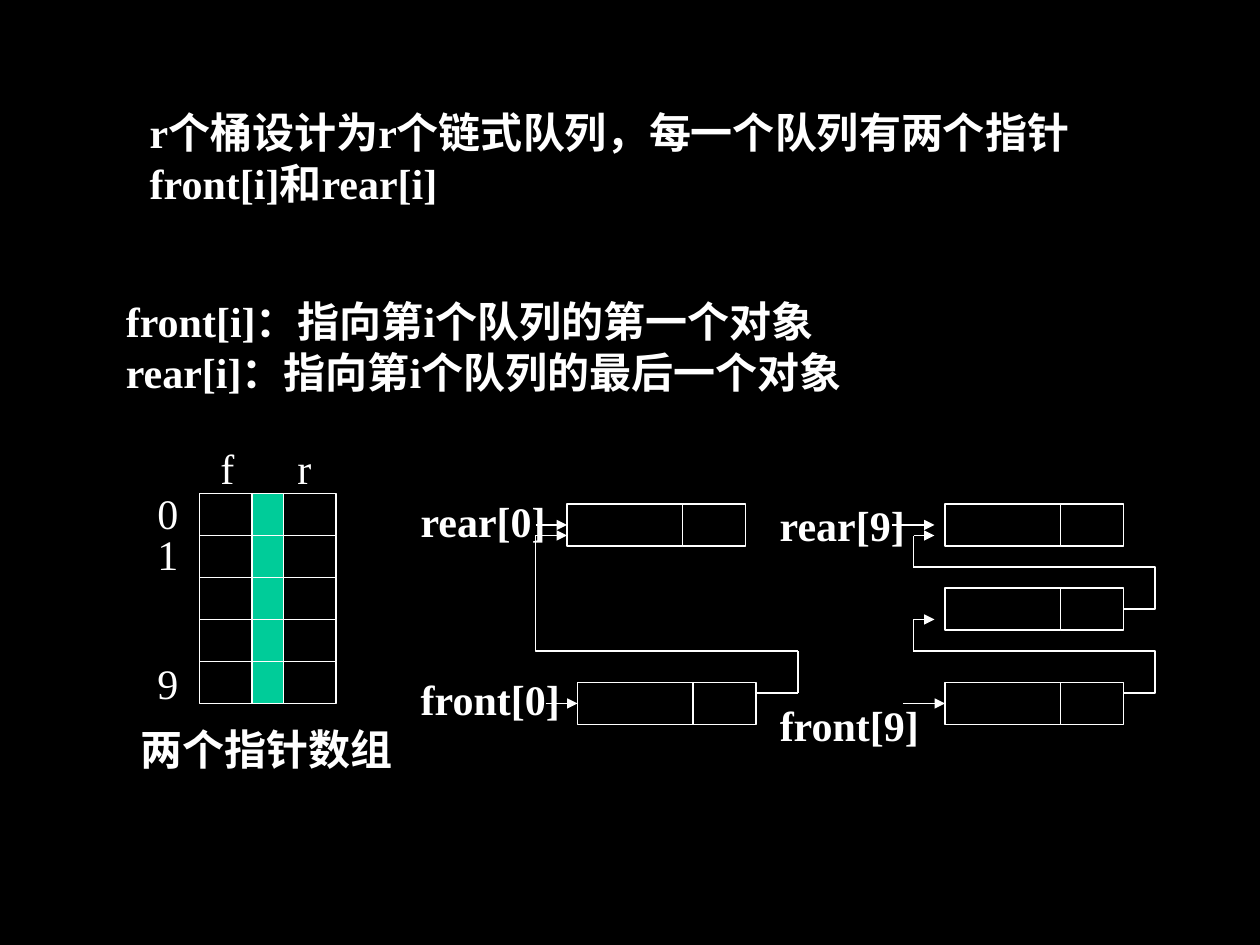
from lxml import etree
from pptx import Presentation
from pptx.dml.color import RGBColor
from pptx.enum.shapes import MSO_CONNECTOR, MSO_SHAPE
from pptx.enum.text import MSO_AUTO_SIZE
from pptx.oxml.ns import qn
from pptx.util import Pt

RECTANGLE = MSO_SHAPE.RECTANGLE
STRAIGHT = MSO_CONNECTOR.STRAIGHT
ELBOW = MSO_CONNECTOR.ELBOW
FIT_TEXT = MSO_AUTO_SIZE.SHAPE_TO_FIT_TEXT
WHITE = RGBColor.from_string("FFFFFF")
GREEN = RGBColor.from_string("00CC99")
ROW_HEIGHT = 24
LEFT_SIDE = 1

presentation = Presentation()
presentation.slide_width = Pt(720)
presentation.slide_height = Pt(540)
slide = presentation.slides.add_slide(presentation.slide_layouts[6])
slide.background.fill.solid()
slide.background.fill.fore_color.rgb = RGBColor.from_string("000000")


def add_text(left, top, width, height, lines, bold=True):
    box = slide.shapes.add_textbox(Pt(left), Pt(top), Pt(width), Pt(height))
    frame = box.text_frame
    frame.word_wrap = False
    frame.auto_size = FIT_TEXT
    frame.text = "\n".join(lines)
    for paragraph in frame.paragraphs:
        paragraph.font.name = "Times New Roman"
        paragraph.font.size = Pt(24)
        paragraph.font.bold = bold
        paragraph.font.color.rgb = WHITE
    return frame.paragraphs


def add_box(left, top, width, fill=None):
    shape = slide.shapes.add_shape(RECTANGLE, Pt(left), Pt(top), Pt(width), Pt(ROW_HEIGHT))
    shape.shadow.inherit = False
    shape.line.color.rgb = WHITE
    shape.line.width = Pt(1)
    if fill is None:
        shape.fill.background()
    else:
        shape.fill.solid()
        shape.fill.fore_color.rgb = fill
    return shape


add_text(78.5, 57.6, 556.5, 64.8, ["r个桶设计为r个链式队列，每一个队列有两个指针", "front[i]和rear[i]"])
add_text(64.8, 165.6, 440.6, 64.8, ["front[i]：指向第i个队列的第一个对象", "rear[i]：指向第i个队列的最后一个对象"])

for row in range(5):
    for left, width, fill in [(114, 30, None), (162, 30, None), (144, 18, GREEN)]:
        add_box(left, 282 + row * ROW_HEIGHT, width, fill)

header = add_text(118.8, 249.1, 66.2, 36, ["f\tr"], bold=False)[0]
tabs = etree.SubElement(header._p.get_or_add_pPr(), qn("a:tabLst"))
etree.SubElement(tabs, qn("a:tab"), pos=str(Pt(44)), algn="l")

indexes = add_text(82.8, 280.8, 25.9, 125.3, ["0", "1", "9"], bold=False)
for paragraph, spacing in zip(indexes, [0.8, 0.8, 0.7]):
    paragraph.line_spacing = spacing
indexes[2].space_before = Pt(53)

add_text(73.4, 409.7, 158.4, 36, ["两个指针数组"])

nodes = {}
for name, left, top in [
    ("front[9]", 540, 390),
    ("middle[9]", 540, 336),
    ("rear[9]", 540, 288),
    ("rear[0]", 324, 288),
    ("front[0]", 330, 390),
]:
    nodes[name] = add_box(left, top, 66)
    add_box(left + 66, top, 36)

for label, left, top, width in [
    ("rear[9]", 438.5, 282.2, 86.4),
    ("front[9]", 438.5, 396, 94.3),
    ("rear[0]", 233.3, 279.4, 86.4),
    ("front[0]", 233.3, 381.6, 94.3),
]:
    add_text(left, top, width, 36, [label])

for kind, x1, y1, x2, y2, arrow, target in [
    (STRAIGHT, 516, 402, 540, 402, "tailEnd", "front[9]"),
    (STRAIGHT, 510, 300, 534, 300, "tailEnd", None),
    (ELBOW, 642, 396, 522, 372, None, None),
    (STRAIGHT, 522, 372, 522, 354, None, None),
    (STRAIGHT, 522, 354, 534, 354, "tailEnd", None),
    (ELBOW, 642, 348, 522, 324, None, None),
    (STRAIGHT, 522, 324, 522, 306, None, None),
    (STRAIGHT, 522, 306, 534, 306, "tailEnd", None),
    (STRAIGHT, 312, 402, 330, 402, "tailEnd", "front[0]"),
    (STRAIGHT, 306, 300, 324, 300, "tailEnd", "rear[0]"),
    (ELBOW, 324, 306, 456, 372, "headEnd", None),
    (STRAIGHT, 456, 372, 456, 396, None, None),
    (STRAIGHT, 456, 396, 432, 396, None, None),
]:
    connector = slide.shapes.add_connector(kind, Pt(x1), Pt(y1), Pt(x2), Pt(y2))
    connector.line.color.rgb = WHITE
    connector.line.width = Pt(1)
    properties = connector._element.spPr
    etree.SubElement(properties, qn("a:effectLst"))
    if arrow:
        etree.SubElement(connector.line._get_or_add_ln(), qn(f"a:{arrow}"), type="triangle")
    if target:
        connector.end_connect(nodes[target], LEFT_SIDE)
    if kind == ELBOW:
        bend = round(-18 / abs(x2 - x1) * 100000)
        guides = properties.find(qn("a:prstGeom")).find(qn("a:avLst"))
        etree.SubElement(guides, qn("a:gd"), name="adj1", fmla=f"val {bend}")

presentation.save("out.pptx")
